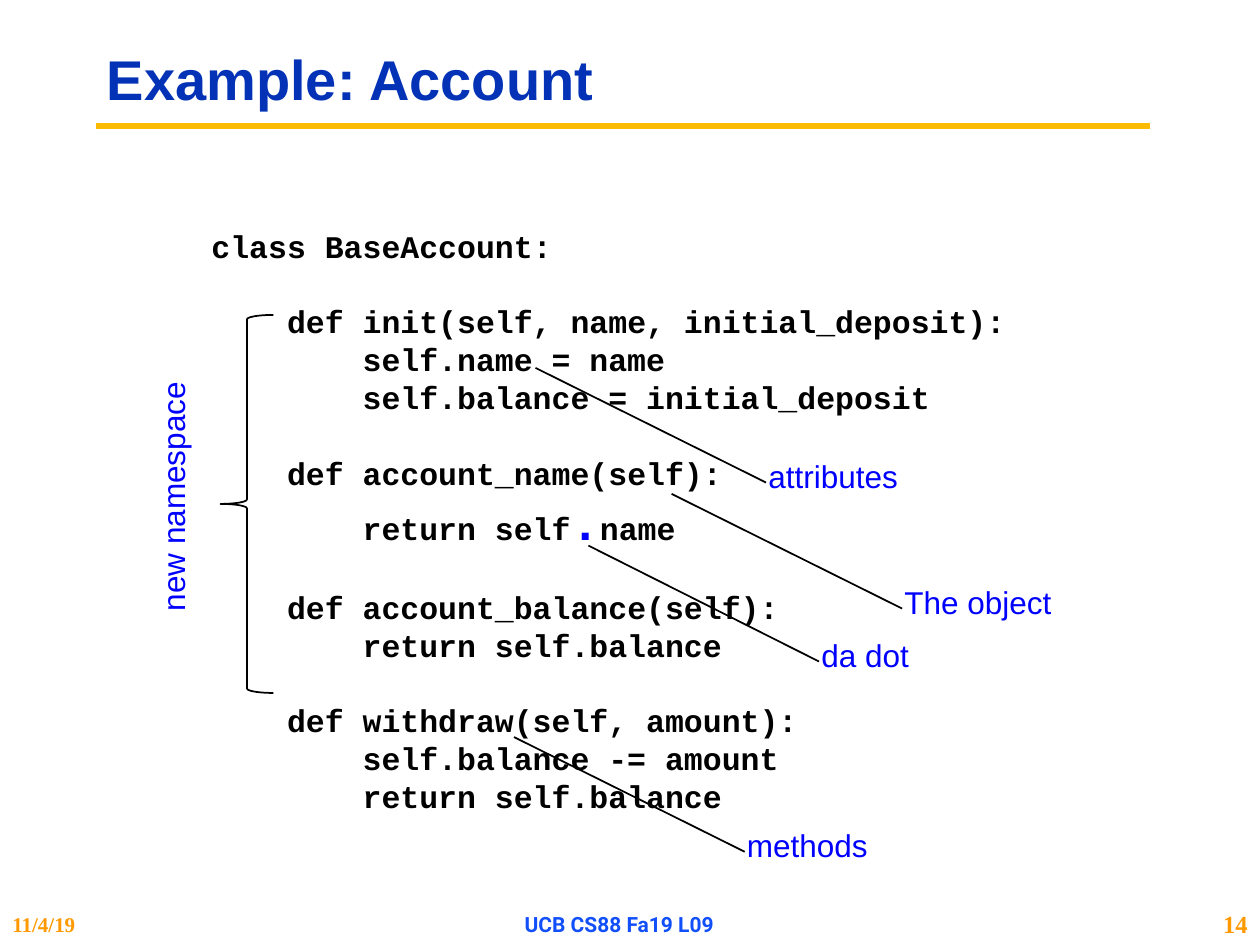
from pptx import Presentation
from pptx.dml.color import RGBColor
from pptx.enum.shapes import MSO_CONNECTOR as Connector, MSO_SHAPE as Shape
from pptx.enum.text import MSO_ANCHOR as Anchor, PP_ALIGN as Align
from pptx.oxml.ns import qn
from pptx.util import Inches, Pt
from lxml import etree

BLACK = RGBColor(0x00, 0x00, 0x00)
NOTE_BLUE = RGBColor(0x00, 0x00, 0xFF)
TITLE_BLUE = RGBColor(0x03, 0x32, 0xB7)
FOOTER_BLUE = RGBColor(0x11, 0x4F, 0xFB)
GOLD = RGBColor(0xFB, 0xBA, 0x03)
ORANGE = RGBColor(0xFF, 0x99, 0x00)

TITLE = "Example: Account"

# Code blocks, each line as (indent level, text)
CODE = [
    [(0, "class BaseAccount:")],
    [(1, "def init(self, name, initial_deposit):"),
     (2, "self.name = name"),
     (2, "self.balance = initial_deposit")],
    [(1, "def account_name(self):"),
     (2, ("return self", ".", "name"))],
    [(1, "def account_balance(self):"),
     (2, "return self.balance")],
    [(1, "def withdraw(self, amount):"),
     (2, "self.balance -= amount"),
     (2, "return self.balance")],
]
CODE_SIZE, DOT_SIZE = 18, 28
INDENT = 0.6          # four monospaced characters at 18 pt
BLOCK_GAP = 21.6      # one code line, in points

# Callouts: text, label left, top, width, and the code spot the line starts at
CALLOUTS = [
    ("methods", 5.83, 6.51, 1.17, (4.08, 5.85)),
    ("attributes", 6, 3.58, 1.24, (4.25, 2.92)),
    ("The object", 7.08, 4.58, 1.38, (5.33, 3.92)),
    ("da dot", 6.42, 5, 0.9, (4.67, 4.33)),
]
LABEL_HEIGHT = 0.4
LEADER_INSET, LEADER_DROP = 0.08, 0.25

# Footer: text, left, width, alignment, font, size, colour
FOOTERS = [
    ("14", 9.42, 0.58, Align.RIGHT, "Times New Roman", 14, ORANGE),
    ("11/4/19", 0, 1.67, Align.LEFT, "Times New Roman", 12, ORANGE),
    ("UCB CS88 Fa19 L09", 3.33, 3.17, Align.CENTER, "Roboto", 12, FOOTER_BLUE),
]

deck = Presentation()
deck.slide_width, deck.slide_height = Inches(10), Inches(7.5)
slide = deck.slides.add_slide(deck.slide_layouts[6])


def style(font, name, size, color, bold=False):
    font.name, font.size, font.bold = name, Pt(size), bold
    font.color.rgb = color


def add_text(text, left, top, width, height, font, size, color,
             bold=False, align=Align.LEFT, anchor=Anchor.TOP, wrap=False):
    box = slide.shapes.add_textbox(*map(Inches, (left, top, width, height)))
    frame = box.text_frame
    frame.word_wrap, frame.vertical_anchor = wrap, anchor
    paragraph = frame.paragraphs[0]
    paragraph.text, paragraph.alignment = text, align
    style(paragraph.font, font, size, color, bold)
    return box


def add_line(start, end, color, width):
    line = slide.shapes.add_connector(
        Connector.STRAIGHT, *map(Inches, (*start, *end)))
    line.line.color.rgb, line.line.width = color, Pt(width)
    etree.SubElement(line._element.spPr, qn("a:effectLst"))


# Title and rule
add_line((0.76, 1), (9.13, 1), GOLD, 3.75)
title = add_text(TITLE, 0.75, 0.25, 8.42, 0.81, "Arial", 32, TITLE_BLUE,
                 bold=True, anchor=Anchor.MIDDLE, wrap=True)
title.text_frame.paragraphs[0].line_spacing = 0.9

# Code listing
listing = slide.shapes.add_textbox(*map(Inches, (1.58, 1.75, 7, 4.88))).text_frame
listing.word_wrap = True
for block_no, block in enumerate(CODE):
    for line_no, (level, code) in enumerate(block):
        first = block_no == line_no == 0
        paragraph = listing.paragraphs[0] if first else listing.add_paragraph()
        paragraph._p.get_or_add_pPr().set("marL", str(Inches(INDENT * level)))
        if block_no and line_no == 0:
            paragraph.space_before = Pt(BLOCK_GAP)
        style(paragraph.font, "Courier New", CODE_SIZE, BLACK, bold=True)
        for part in (code,) if isinstance(code, str) else code:
            run = paragraph.add_run()
            run.text = part
            if part == ".":
                run.font.size, run.font.color.rgb = Pt(DOT_SIZE), NOTE_BLUE

# Namespace brace and its label
brace = slide.shapes.add_shape(
    Shape.LEFT_BRACE, *map(Inches, (1.75, 2.5, 0.42, 3)))
brace.shadow.inherit = False
brace.fill.background()
brace.line.color.rgb, brace.line.width = BLACK, Pt(1)
namespace = add_text("new namespace", 0.35, 3.73, 2.04, LABEL_HEIGHT,
                     "Arial", 18, NOTE_BLUE)
namespace.rotation = 270

# Callouts with leader lines
for text, left, top, width, spot in CALLOUTS:
    add_text(text, left, top, width, LABEL_HEIGHT, "Arial", 18, NOTE_BLUE)
    add_line(spot, (left + LEADER_INSET, top + LEADER_DROP), BLACK, 1)

# Footer
for text, left, width, align, font, size, color in FOOTERS:
    add_text(text, left, 7.17, width, 0.33, font, size, color,
             bold=True, align=align, anchor=Anchor.MIDDLE)

deck.save("out.pptx")
